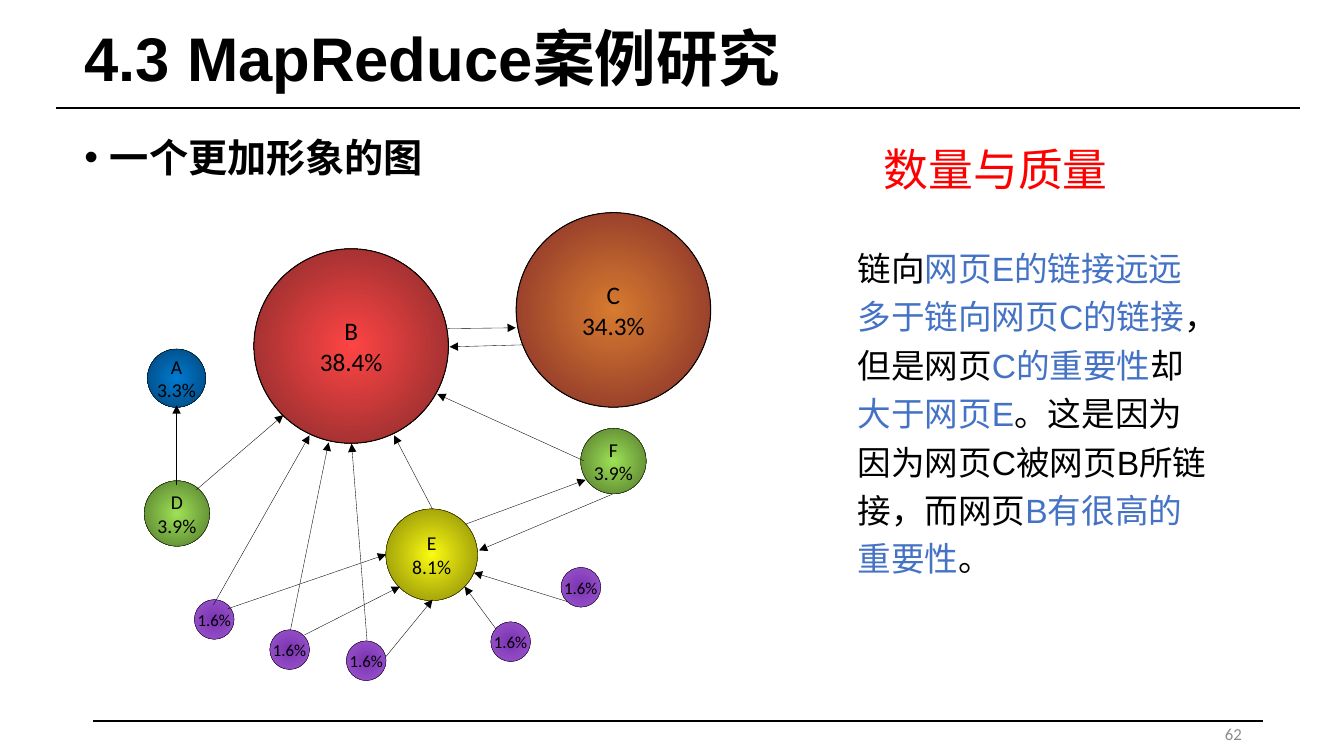
from dataclasses import dataclass

from lxml.etree import SubElement
from pptx import Presentation
from pptx.dml.color import RGBColor
from pptx.enum.shapes import MSO_CONNECTOR, MSO_SHAPE
from pptx.enum.text import MSO_ANCHOR as Anchor, PP_ALIGN as Align
from pptx.oxml.ns import qn
from pptx.shapes.connector import Connector
from pptx.slide import Slide
from pptx.text.text import TextFrame
from pptx.util import Cm, Pt

BLACK = RGBColor(0x00, 0x00, 0x00)
RED = RGBColor(0xFF, 0x00, 0x00)
BLUE = RGBColor(0x44, 0x72, 0xC4)
GREY = RGBColor(0x8C, 0x8C, 0x8C)

# Centre and edge colours of the page circles
SCARLET = (RGBColor(0xFE, 0x44, 0x44), RGBColor(0x83, 0x2B, 0x2B))
ORANGE = (RGBColor(0xD6, 0x7B, 0x2F), RGBColor(0x83, 0x2B, 0x2B))
AZURE = (RGBColor(0x00, 0x7B, 0xD3), RGBColor(0x03, 0x43, 0x73))
GREEN = (RGBColor(0x9E, 0xE2, 0x56), RGBColor(0x52, 0x76, 0x2D))
YELLOW = (RGBColor(0xFB, 0xFB, 0x11), RGBColor(0x83, 0x83, 0x09))
PURPLE = (RGBColor(0x7B, 0x32, 0xB2), RGBColor(0x9C, 0x5A, 0xCE))


@dataclass
class Page:
    """A web page of the link graph; centre and diameter in cm."""
    lines: tuple[str, ...]
    x: float
    y: float
    diameter: float
    colors: tuple[RGBColor, RGBColor]
    size: int = 14
    outline: float = 0.25


@dataclass
class Label:
    """A text box; place in cm, runs as (text, colour)."""
    runs: list[tuple[str, RGBColor]]
    left: float
    top: float
    width: float
    height: float
    size: int
    font: str = "Calibri"
    bold: bool = False
    bullet: bool = False
    wrap: bool = True
    anchor: Anchor = Anchor.MIDDLE
    align: Align = Align.LEFT
    spacing: float = 1.0


PAGES = [
    Page(("B", "38.4%"), 8.85, 8.72, 4.9, SCARLET, 18, 0),
    Page(("C", "34.3%"), 15.46, 7.81, 4.9, ORANGE, 18, 0),
    Page(("A", "3.3%"), 4.45, 9.53, 1.47, AZURE),
    Page(("D", "3.9%"), 4.46, 12.94, 1.65, GREEN),
    Page(("F", "3.9%"), 15.46, 11.62, 1.65, GREEN),
    Page(("E", "8.1%"), 10.88, 13.98, 2.31, YELLOW),
] + [
    Page(("1.6%",), x, y, 1, PURPLE, 12)
    for x, y in [(5.4, 15.61), (7.3, 16.37), (9.23, 16.65), (12.87, 16.17), (14.64, 14.8)]
]

# Links between pages: start x, start y, end x, end y in cm
LINKS = [
    (4.45, 12.22, 4.45, 10.21),
    (4.95, 12.34, 7.14, 10.46),
    (5.38, 15.24, 7.8, 10.97),
    (7.32, 15.88, 8.28, 11.15),
    (9.25, 16.15, 8.86, 11.18),
    (10.9, 12.83, 9.93, 10.97),
    (14.71, 11.61, 11.02, 9.93),
    (11.28, 8.28, 13, 8.26),
    (13.16, 8.69, 11.33, 8.74),
    (11.73, 13.21, 14.76, 12.09),
    (15.44, 12.45, 12.07, 13.87),
    (5.74, 15.34, 9.73, 13.97),
    (7.67, 16, 10.08, 14.78),
    (9.73, 16.54, 10.9, 15.11),
    (12.5, 15.85, 11.71, 14.78),
    (14.3, 15.16, 11.94, 14.43),
]

EXPLANATION = [
    ("链向", BLACK),
    ("网页E的链接远远多于链向网页C的链接", BLUE),
    ("，但是网页", BLACK),
    ("C的重要性", BLUE),
    ("却", BLACK),
    ("大于网页E", BLUE),
    ("。这是因为因为网页C被网页B所链接，而网页", BLACK),
    ("B有很高的重要性", BLUE),
    ("。", BLACK),
]

LABELS = [
    Label([("4.3 MapReduce案例研究", BLACK)], 1.88, 0.38, 30.35, 2.34, 44,
          font="Arial", bold=True, spacing=0.9),
    Label([("一个更加形象的图", BLACK)], 1.88, 3.23, 30.35, 13.94, 28,
          bold=True, bullet=True, anchor=Anchor.TOP),
    Label([("数量与质量", RED)], 22.02, 3.15, 6.53, 2.21, 32, wrap=False),
    Label(EXPLANATION, 21.36, 5.92, 9.47, 8.79, 24,
          font="Arial", anchor=Anchor.TOP, spacing=1.2),
    Label([("62", GREY)], 23.93, 18.16, 7.62, 0.64, 12, align=Align.RIGHT),
]


def add_line(slide: Slide, ends: tuple[float, ...], width: float) -> Connector:
    line = slide.shapes.add_connector(MSO_CONNECTOR.STRAIGHT, *(Cm(end) for end in ends))
    line.line.color.rgb = BLACK
    line.line.width = Pt(width)
    SubElement(line.element.spPr, qn("a:effectLst"))
    return line


def add_link(slide: Slide, ends: tuple[float, ...]) -> None:
    link = add_line(slide, ends, 0.25)
    SubElement(link.line._get_or_add_ln(), qn("a:tailEnd"), type="triangle")


def remove_margins(frame: TextFrame) -> None:
    frame.margin_left = frame.margin_right = frame.margin_top = frame.margin_bottom = 0


def add_page(slide: Slide, page: Page) -> None:
    radius = page.diameter / 2
    circle = slide.shapes.add_shape(
        MSO_SHAPE.OVAL, Cm(page.x - radius), Cm(page.y - radius),
        Cm(page.diameter), Cm(page.diameter))
    circle.shadow.inherit = False
    circle.line.color.rgb = BLACK
    circle.line.width = Pt(page.outline)

    circle.fill.gradient()
    for stop, color, position in zip(circle.fill.gradient_stops, page.colors, (0, 1)):
        stop.color.rgb = color
        stop.position = position
    gradient = circle.element.spPr.find(qn("a:gradFill"))
    gradient.remove(gradient.find(qn("a:lin")))
    radial = SubElement(gradient, qn("a:path"), path="circle")
    SubElement(radial, qn("a:fillToRect"), l="50000", t="50000", r="50000", b="50000")

    frame = circle.text_frame
    frame.word_wrap = False
    frame.vertical_anchor = Anchor.MIDDLE
    remove_margins(frame)
    frame.text = "\n".join(page.lines)
    for paragraph in frame.paragraphs:
        paragraph.alignment = Align.CENTER
        paragraph.font.name = "Calibri"
        paragraph.font.size = Pt(page.size)
        paragraph.font.color.rgb = BLACK


def add_label(slide: Slide, label: Label) -> None:
    box = slide.shapes.add_textbox(
        Cm(label.left), Cm(label.top), Cm(label.width), Cm(label.height))
    frame = box.text_frame
    frame.word_wrap = label.wrap
    frame.vertical_anchor = label.anchor
    paragraph = frame.paragraphs[0]
    paragraph.alignment = label.align
    paragraph.line_spacing = label.spacing
    if label.bullet:
        properties = paragraph._p.get_or_add_pPr()
        properties.set("marL", str(Cm(0.64)))
        properties.set("indent", str(Cm(-0.64)))
        SubElement(properties, qn("a:buFont"), typeface="Arial")
        SubElement(properties, qn("a:buChar"), char="•")
    paragraph.font.name = label.font
    paragraph.font.size = Pt(label.size)
    paragraph.font.bold = label.bold
    for text, color in label.runs:
        run = paragraph.add_run()
        run.text = text
        run.font.color.rgb = color


def main() -> None:
    presentation = Presentation()
    presentation.slide_width = Cm(33.87)
    presentation.slide_height = Cm(19.05)
    slide = presentation.slides.add_slide(presentation.slide_layouts[6])
    add_line(slide, (1.42, 2.72, 32.77, 2.72), 1.75)
    add_line(slide, (2.34, 18.16, 31.83, 18.16), 1.25)
    for label in LABELS:
        add_label(slide, label)
    for page in PAGES:
        add_page(slide, page)
    for link in LINKS:
        add_link(slide, link)
    presentation.save("out.pptx")


if __name__ == "__main__":
    main()
